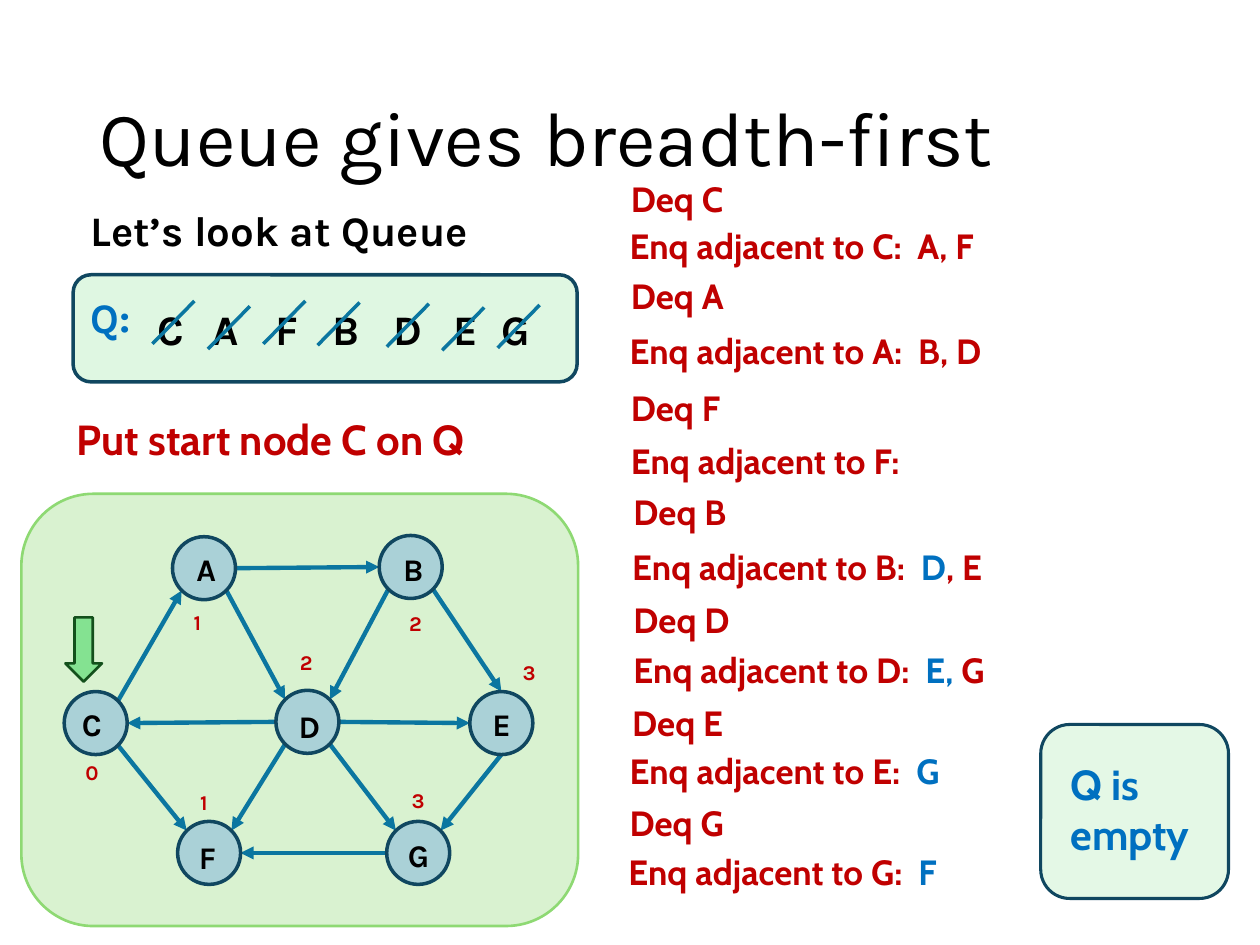
from lxml import etree
from pptx import Presentation
from pptx.dml.color import RGBColor
from pptx.enum import shapes as es, text as et
from pptx.oxml import ns
from pptx.util import Pt

BLACK, RED, BLUE = "000000", "C00000", "0070C0"
NAVY, TEAL, MINT = "104760", "0B76A0", "C2F1C8"
KINDS = es.MSO_SHAPE

# name: (node x, y), (letter offset), (depth, its offset)
NODES = {
    "A": ((86.4, 24.5), (6.5, 4.3), ("1", 5, 38.2)),
    "B": ((204.5, 23.8), (6.5, 5), ("2", 10, 39.6)),
    "C": ((24.5, 113), (3, 4.3), ("0", 5, 35.3)),
    "D": ((145.5, 112.3), (5.8, 5.8), ("2", 6.5, -26.6)),
    "E": ((256.3, 113), (5.8, 4.3), ("3", 23, -21.6)),
    "F": ((89.3, 187.2), (5, 5.8), ("1", 5.8, -21.6)),
    "G": ((208.8, 187.2), (5, 5), ("3", 7.2, -23)),
}
# from node, side, to node, side
EDGES = ["A E B W", "A SE D NW", "B SW D NE", "B SE E N", "C NE A SW",
         "C SE F NW", "D W C E", "D E E W", "D SW F NE", "D SE G NW",
         "E S G NE", "G W F E"]
# letter, x, stroke offset from the letter
QUEUE = [("C", 41, 4.3, 15), ("A", 72.7, 4.3, 18), ("F", 108.7, 0, 15),
         ("B", 141.1, -1.4, 15.8), ("D", 175.7, 3.6, 16.6),
         ("E", 210.2, 0.7, 18.7), ("G", 237.6, 5, 17.3)]
# x, y, runs
TRACE = [
    (1.4, 0, [("Deq C", RED)]),
    (0.7, 26.7, [("Enq adjacent to C:  A, F", RED)]),
    (1.4, 55.5, [("Deq A", RED)]),
    (0.7, 87.1, [("Enq adjacent to A:  B, D", RED)]),
    (1.4, 119.5, [("Deq F", RED)]),
    (1.4, 149.8, [("Enq adjacent to F:", RED)]),
    (2.9, 178.6, [("Deq B", RED)]),
    (2.2, 210.3, [("Enq adjacent to B:  ", RED), ("D", BLUE), (", E", RED)]),
    (2.9, 240.5, [("Deq D", RED)]),
    (2.9, 269.3, [("Enq adjacent to D:  ", RED), ("E, ", BLUE), ("G", RED)]),
    (2.2, 299.5, [("Deq E", RED)]),
    (0.7, 326.9, [("Enq adjacent to E:  ", RED), ("G", BLUE)]),
    (0.7, 356.4, [("Deq G", RED)]),
    (0, 384.5, [("Enq adjacent to G:  ", RED), ("F", BLUE)]),
]


def rgb(code):
    return RGBColor.from_string(code)


def shape(parts, kind, box, fill, edge, width, alpha=100):
    item = parts.add_shape(kind, *map(Pt, box))
    item.shadow.inherit = False
    item.fill.solid()
    item.fill.fore_color.rgb = rgb(fill)
    if alpha < 100:
        clr = item.element.spPr.find(ns.qn("a:solidFill"))[0]
        etree.SubElement(clr, ns.qn("a:alpha")).set("val", str(alpha * 1000))
    item.line.color.rgb = rgb(edge)
    item.line.width = Pt(width)


def line(parts, start, end, width, arrow=False):
    item = parts.add_connector(es.MSO_CONNECTOR.STRAIGHT,
                               *map(Pt, (*start, *end)))
    item.line.color.rgb = rgb(TEAL)
    item.line.width = Pt(width)
    props = item.element.spPr
    if arrow:
        tip = etree.SubElement(props.find(ns.qn("a:ln")), ns.qn("a:tailEnd"))
        tip.set("type", "triangle")
    etree.SubElement(props, ns.qn("a:effectLst"))


def write(para, runs, size, font, bold=True):
    for words, color in runs:
        run = para.add_run()
        run.text = words
        run.font.size = Pt(size)
        run.font.name = font
        run.font.bold = bold
        run.font.color.rgb = rgb(color)


def label(parts, box, runs, size, font, bold=True):
    frame = parts.add_textbox(*map(Pt, box)).text_frame
    frame.word_wrap = True
    write(frame.paragraphs[0], runs, size, font, bold)
    return frame


def title(parts, box):
    frame = label(parts, box, [("Queue gives breadth-first", BLACK)], 44,
                  "Karla", False)
    frame.vertical_anchor = et.MSO_ANCHOR.MIDDLE
    frame.paragraphs[0].line_spacing = 0.9


def intro(parts, box):
    frame = label(parts, box, [("Let’s look at Queue", BLACK)], 24, "Karla")
    write(frame.add_paragraph(), [("Q:", BLUE)], 24, "Karla")
    for para, gap in zip(frame.paragraphs, (12, 24)):
        para.line_spacing = 0.9
        para.space_before = Pt(gap)
        para._p.get_or_add_pPr().set("marL", str(Pt(8.6)))


def queue(parts, box):
    """Queue items, each struck out once it has been taken off."""
    left, top = box[:2]
    for name, x, dx, dy in QUEUE:
        label(parts, (left + x, top + 13, 24, 36), [(name, BLACK)], 24, "Karla")
        x0, y0 = left + x + dx, top + dy
        line(parts, (x0, y0 + 24.5), (x0 + 24, y0), 2)


def graph(parts, box):
    left, top = box[:2]
    size = 36

    def site(name, side):
        """Point on a node's rim in a compass direction."""
        x, y = NODES[name][0]
        dx = ("E" in side) - ("W" in side)
        dy = ("S" in side) - ("N" in side)
        reach = size / 2 * (0.71 if dx and dy else 1)
        return (left + x + size / 2 + dx * reach,
                top + y + size / 2 + dy * reach)

    shape(parts, KINDS.ROUNDED_RECTANGLE, box, "D9F2D0", "8ED973", 1.5)
    for edge in EDGES:
        tail, out, head, into = edge.split()
        line(parts, site(tail, out), site(head, into), 2.5, True)
    for name, ((x, y), (dx, dy), (depth, ex, ey)) in NODES.items():
        x, y = left + x, top + y
        shape(parts, KINDS.OVAL, (x, y, size, size), "71AAE0", NAVY, 2, 45)
        label(parts, (x + dx, y + dy, 24, 29.5), [(name, BLACK)], 18, "Karla")
        label(parts, (x + ex, y + ey, 24, 21.6), [(depth, RED)], 12, "Karla")
    shape(parts, KINDS.DOWN_ARROW, (left + 25.2, top + 70.6, 20.9, 36.7),
          "84E291", "13501B", 1.5)


def trace(parts, box):
    left, top, width, _ = box
    for x, y, runs in TRACE:
        label(parts, (left + x, top + y, width, 31.7), runs, 20, "Cabin")


def result(parts, box):
    left, top, width, _ = box
    shape(parts, KINDS.ROUNDED_RECTANGLE, box, MINT, NAVY, 1.75, 44)
    label(parts, (left + 10, top + 15.8, width - 7.2, 65.5),
          [("Q is empty", BLUE)], 24, "Cabin")


def main():
    deck = Presentation()
    deck.slide_width, deck.slide_height = Pt(720), Pt(540)
    parts = deck.slides.add_slide(deck.slide_layouts[6]).shapes
    bar = (41.8, 157, 288, 61.2)
    title(parts, (49.7, 28.8, 620.6, 104.4))
    shape(parts, KINDS.ROUNDED_RECTANGLE, bar, MINT, NAVY, 2, 51)
    intro(parts, (36, 116.6, 648, 375))
    graph(parts.add_group_shape().shapes, (12.2, 282.2, 318.2, 247))
    label(parts, (36.7, 232.6, 318.2, 36),
          [("Put start node C on Q", RED)], 24, "Cabin")
    queue(parts, bar)
    trace(parts, (352, 97.9, 339, 416))
    result(parts.add_group_shape().shapes, (594.7, 414, 107.3, 99.4))
    deck.save("out.pptx")


if __name__ == "__main__":
    main()
